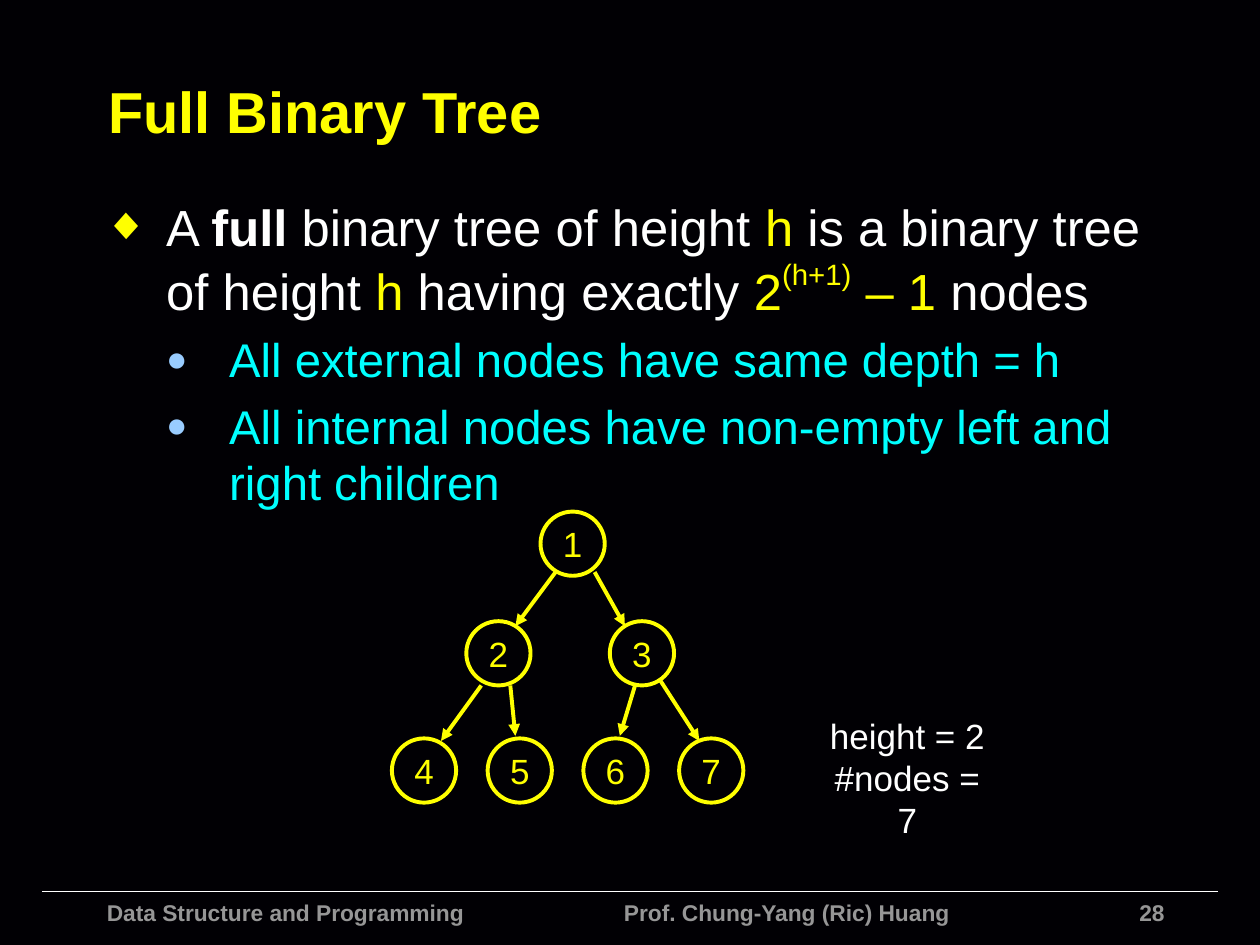
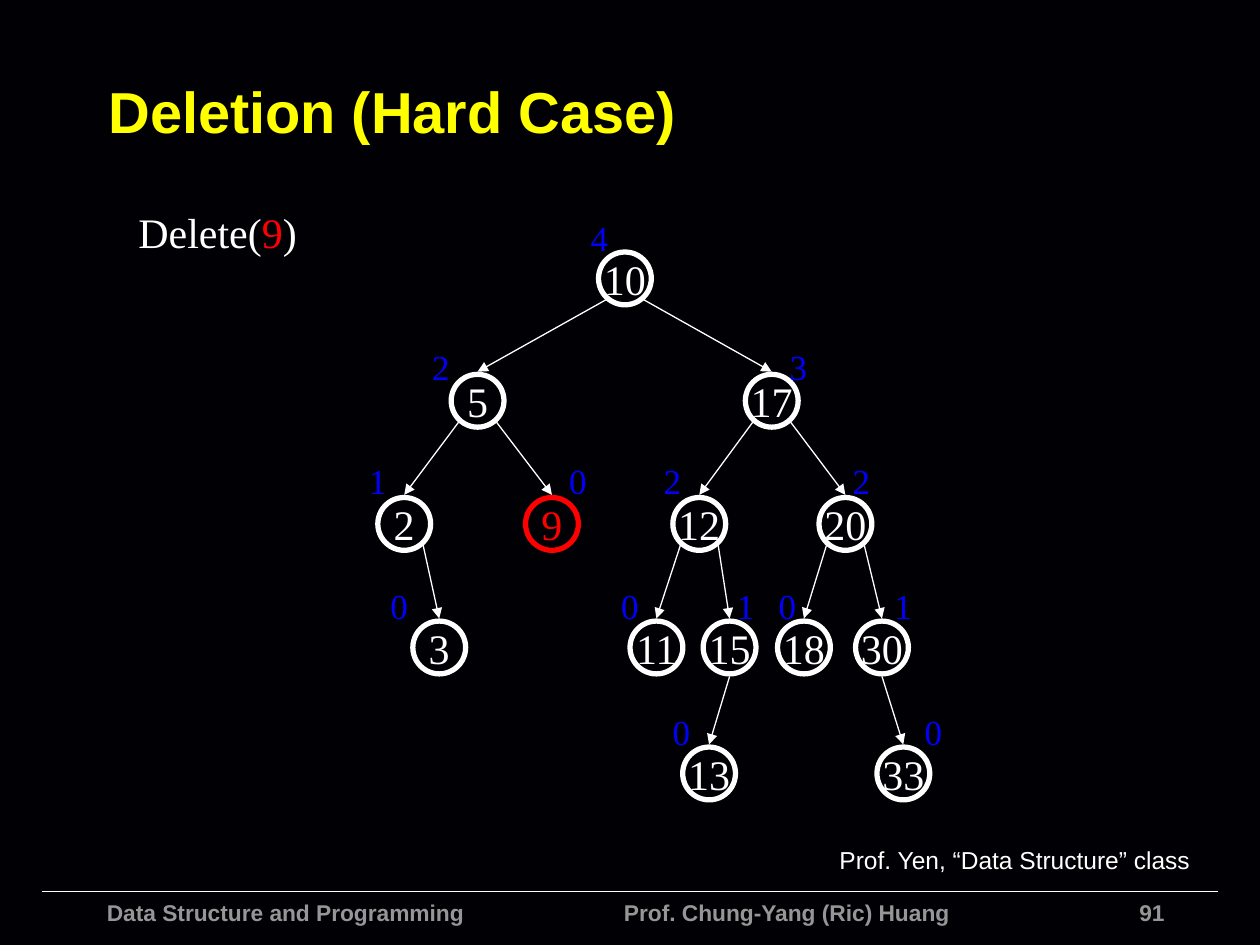
from dataclasses import dataclass

from lxml import etree
from pptx import Presentation
from pptx.dml.color import RGBColor
from pptx.enum.shapes import MSO_CONNECTOR, MSO_SHAPE
from pptx.enum.text import MSO_ANCHOR, MSO_AUTO_SIZE, PP_ALIGN
from pptx.oxml.ns import qn
from pptx.util import Pt

LEFT, CENTER, RIGHT = PP_ALIGN.LEFT, PP_ALIGN.CENTER, PP_ALIGN.RIGHT
TOP, MIDDLE = MSO_ANCHOR.TOP, MSO_ANCHOR.MIDDLE
NO_FIT = MSO_AUTO_SIZE.NONE
STRAIGHT, OVAL = MSO_CONNECTOR.STRAIGHT, MSO_SHAPE.OVAL
TITLE_AND_BODY, TITLE_ONLY = 1, 5


@dataclass(frozen=True)
class Theme:
    back: str = "010004"
    white: str = "FFFFFF"
    yellow: str = "FFFF00"
    cyan: str = "00FFFF"
    sky: str = "99CCFF"
    blue: str = "0000FF"
    red: str = "FF0000"
    gray: str = "969696"
    sans: str = "Arial"
    serif: str = "Times New Roman"
    title: int = 33
    body: int = 29
    sub: int = 27
    key: int = 24
    label: int = 20
    credit: int = 14
    footer: int = 13


T = Theme()


def rgb(color):
    return RGBColor.from_string(color)


def add(parent, tag, **attrs):
    return etree.SubElement(parent, qn(tag), attrs)


def write(p, text, size=T.label, color=T.white, font=T.sans, bold=False, raised=0):
    """Add one formatted run to a paragraph."""
    r = p.add_run()
    r.text = text
    f = r.font
    f.size, f.name, f.bold = Pt(size), font, bold
    f.color.rgb = rgb(color)
    if raised:
        f._element.set("baseline", str(raised * 1000))


class Deck:
    """Holds the presentation and the slide being built."""

    def __init__(self):
        self.prs = Presentation()
        self.prs.slide_width, self.prs.slide_height = Pt(720), Pt(540)
        fill = self.prs.slide_master.background.fill
        fill.solid()
        fill.fore_color.rgb = rgb(T.back)

    def slide(self, layout, title, number):
        self.s = self.prs.slides.add_slide(self.prs.slide_layouts[layout])
        tf = self.place(self.s.shapes.title, 54.7, 26.6, 636.5, 72.7, MIDDLE)
        p = tf.paragraphs[0]
        p.alignment = LEFT
        write(p, title, size=T.title, color=T.yellow, bold=True)
        # Footer
        foot = dict(size=T.footer, color=T.gray, bold=True)
        self.line((24, 509.5), (696, 509.5), T.white, 1, arrow=False)
        self.text(444, 509.8, 228.5, 13, [[(str(number), foot)]], align=RIGHT)
        names = "Data Structure and Programming\tProf. Chung-Yang (Ric) Huang"
        tf = self.text(54, 509.8, 521, 30, [[(names, foot)]])
        tabs = add(tf.paragraphs[0]._p.get_or_add_pPr(), "a:tabLst")
        add(tabs, "a:tab", pos=str(Pt(295.5)), algn="l")

    def place(self, sp, left, top, width, height, anchor=TOP):
        sp.left, sp.top, sp.width, sp.height = map(Pt, (left, top, width, height))
        tf = sp.text_frame
        tf.word_wrap, tf.auto_size, tf.vertical_anchor = True, NO_FIT, anchor
        return tf

    def text(self, left, top, width, height, lines, align=LEFT, wrap=True, side=7.2):
        """Each line is a list of (text, format) runs."""
        sp = self.s.shapes.add_textbox(Pt(left), Pt(top), Pt(width), Pt(height))
        tf = sp.text_frame
        tf.word_wrap = wrap
        tf.margin_left = tf.margin_right = Pt(side)
        for i, runs in enumerate(lines):
            p = tf.add_paragraph() if i else tf.paragraphs[0]
            p.alignment = align
            for text, fmt in runs:
                write(p, text, **fmt)
        return tf

    def bullets(self, items):
        """Fill the body placeholder with (level, runs) items."""
        tf = self.place(self.s.placeholders[1], 51.8, 108, 612, 372)
        styles = [("◆", T.yellow, 90, T.body), ("●", T.sky, 75, T.sub)]
        for i, (level, runs) in enumerate(items):
            char, color, percent, size = styles[level]
            p = tf.add_paragraph() if i else tf.paragraphs[0]
            p.level = level
            pPr = p._p.get_or_add_pPr()
            pPr.set("marL", str(Pt(36 * (level + 1))))
            pPr.set("indent", str(Pt(-36)))
            add(add(pPr, "a:buClr"), "a:srgbClr", val=color)
            add(pPr, "a:buSzPct", val=str(percent * 1000))
            add(pPr, "a:buChar", char=char)
            p.space_before = Pt(0.2 * size if i else 0)
            for text, fmt in runs:
                write(p, text, size=size, **fmt)

    def node(self, cx, cy, diameter, text, color, width, side=7.2, **fmt):
        sp = self.s.shapes.add_shape(
            OVAL, Pt(cx - diameter / 2), Pt(cy - diameter / 2),
            Pt(diameter), Pt(diameter))
        sp.shadow.inherit = False
        sp.fill.background()
        sp.line.color.rgb, sp.line.width = rgb(color), Pt(width)
        tf = sp.text_frame
        tf.word_wrap, tf.vertical_anchor = False, MIDDLE
        tf.margin_left = tf.margin_right = Pt(side)
        p = tf.paragraphs[0]
        p.alignment = CENTER
        write(p, text, color=color, **fmt)

    def line(self, start, end, color, width, arrow=True):
        c = self.s.shapes.add_connector(STRAIGHT, *map(Pt, (*start, *end)))
        c.line.color.rgb, c.line.width = rgb(color), Pt(width)
        spPr = c._element.spPr
        if arrow:
            add(spPr.find(qn("a:ln")), "a:tailEnd", type="triangle")
        add(spPr, "a:effectLst")


def full_tree(d):
    d.slide(TITLE_AND_BODY, "Full Binary Tree", 28)
    plain, yellow, cyan = {}, dict(color=T.yellow), dict(color=T.cyan)
    d.bullets([
        (0, [("A ", plain), ("full", dict(bold=True)),
             (" binary tree of height ", plain), ("h", yellow),
             (" is a binary tree of height ", plain), ("h", yellow),
             (" having exactly ", plain), ("2", yellow),
             ("(h+1)", dict(color=T.yellow, raised=50)),
             (" – 1", yellow), (" nodes", plain)]),
        (1, [("All external nodes have same depth = h", cyan)]),
        (1, [("All internal nodes have non-empty left and right children", cyan)]),
    ])
    # Nodes, numbered level by level
    centers = [(327.2, 310.7), (284.8, 373.3), (366.8, 373.3)]
    centers += [(242.3 + 54.7 * i, 440.3) for i in range(4)]
    for number, (cx, cy) in enumerate(centers, 1):
        d.node(cx, cy, 36.7, str(number), T.yellow, 2.25, side=3.6)
    # Branches
    for start, end in [
        ((317.5, 326.9), (294.5, 357.8)),
        ((339.8, 326.9), (357.1, 357.8)),
        ((275, 391.7), (252, 423.4)),
        ((291.6, 391.7), (294.5, 420.5)),
        ((362.9, 391.7), (354.2, 420.5)),
        ((377.3, 388.8), (399.6, 423.4)),
    ]:
        d.line(start, end, T.yellow, 2.25)
    # Summary
    d.text(470, 404.6, 97, 55.4, [[("height = 2", {})], [("#nodes = 7", {})]],
           align=CENTER, side=3.6)


def deletion(d):
    d.slide(TITLE_ONLY, "Deletion (Hard Case)", 91)
    call = dict(size=T.key, font=T.serif)
    d.text(72, 114.5, 105, 36, [[("Delete(", call), ("9", dict(call, color=T.red)),
                                 (")", call)]], wrap=False)
    # Tree
    diameter = 30.2
    node_y = [159.1, 229, 299.4, 370, 442]
    height_y = [120.2, 193.7, 259, 330.5, 402.5]
    # key: level, centre x, height, left of height label, parent, side of parent
    nodes = {
        10: (0, 357.1, 4, 330.5, None, 0),
        5: (1, 272.9, 2, 239.8, 10, -1),
        17: (1, 441, 3, 444.2, 10, 1),
        2: (2, 231, 1, 203.8, 5, -1),
        9: (2, 315.4, 0, 318.2, 5, 1),
        12: (2, 399.6, 2, 372.2, 17, -1),
        20: (2, 483.1, 2, 480.2, 17, 1),
        3: (3, 251, 0, 216, 2, 1),
        11: (3, 375.1, 0, 347.8, 12, -1),
        15: (3, 416.9, 1, 414, 12, 1),
        18: (3, 459.4, 0, 437.8, 20, -1),
        30: (3, 504, 1, 504, 20, 1),
        13: (4, 405.2, 0, 377.3, 15, 0),
        33: (4, 516.2, 0, 521.3, 30, 0),
    }
    gap = diameter / 2 + 1.5
    for key, (level, cx, height, label_x, parent, side) in nodes.items():
        color = T.red if key == 9 else T.white
        d.node(cx, node_y[level], diameter, str(key), color, 3, **call)
        d.text(label_x, height_y[level], 24.5, 31,
               [[(str(height), dict(color=T.blue, font=T.serif))]], wrap=False)
        if parent:
            up, px = nodes[parent][:2]
            start = px + side * 10.8, node_y[up] + (12.2 if side else gap)
            d.line(start, (cx, node_y[level] - gap), T.white, 0.75)
    # Credit
    d.text(476, 479.5, 208, 24,
           [[("Prof. Yen, “Data Structure” class", dict(size=T.credit))]],
           align=CENTER, wrap=False, side=3.6)


def main():
    d = Deck()
    full_tree(d)
    deletion(d)
    d.prs.save("out.pptx")


if __name__ == "__main__":
    main()
